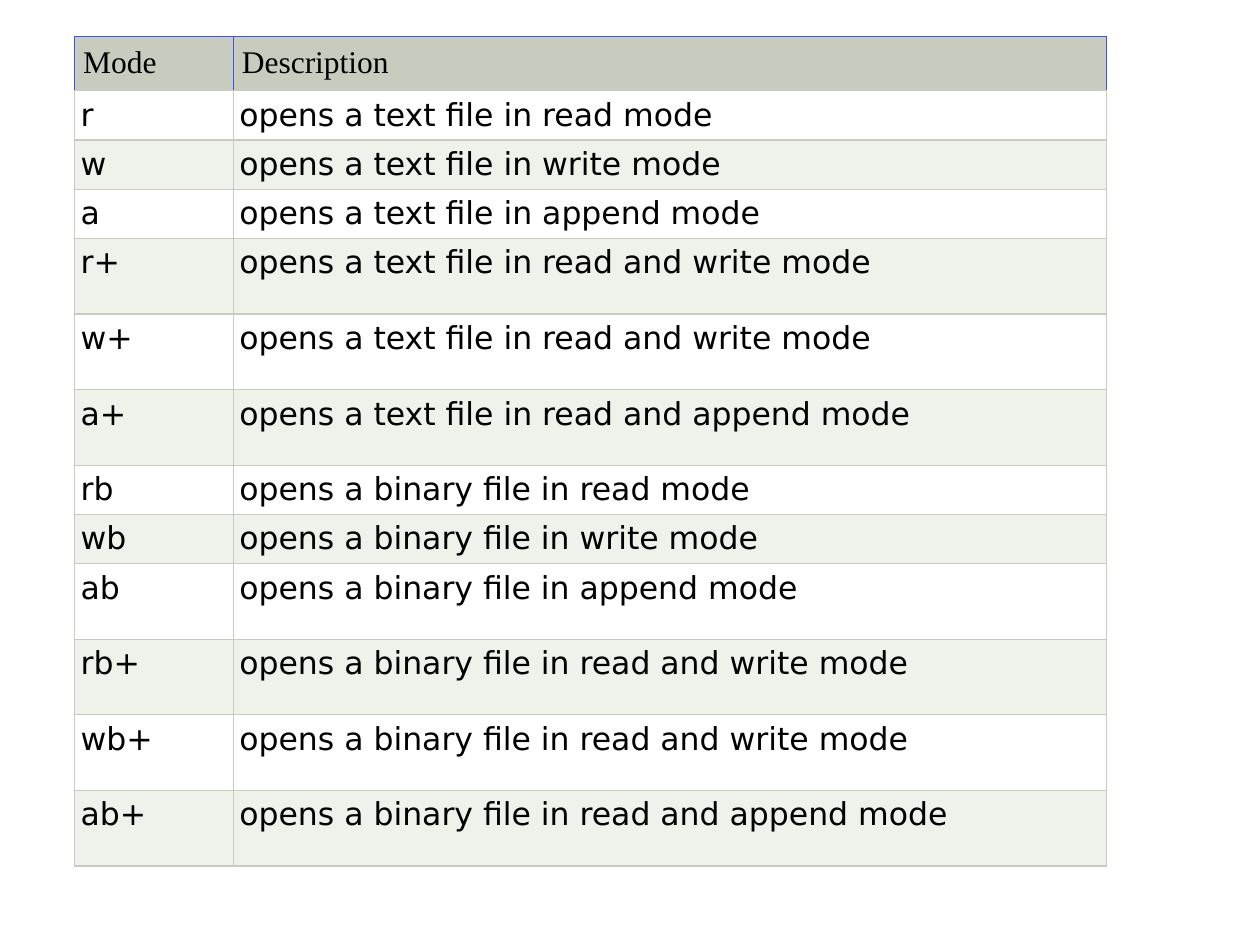
from dataclasses import dataclass

from lxml import etree
from pptx import Presentation
from pptx.dml.color import RGBColor
from pptx.oxml.ns import qn
from pptx.table import _Cell
from pptx.util import Inches, Pt

COLORS = {
    "text": "000000",
    "header": "C7CCBE",
    "grid": "C7CCBE",
    "accent": "404FFC",
    "plain": "FFFFFF",
    "band": "EFF1EB",
}
SHORT, TALL, HEADER_HEIGHT = 0.36, 0.6, 0.43
COLUMN_WIDTHS = (1.26, 6.93)
TABLE_LEFT, TABLE_TOP, TABLE_HEIGHT = 0.59, 0.29, 6.65
SIDES = ("lnL", "lnR", "lnT", "lnB")


@dataclass(frozen=True)
class FileMode:
    mode: str
    description: str
    height: float = SHORT


@dataclass(frozen=True)
class CellStyle:
    font: str
    fill: str
    margin: float
    borders: tuple[str, str, str, str]  # left, right, top, bottom


FILE_MODES = [
    FileMode("r", "opens a text file in read mode"),
    FileMode("w", "opens a text file in write mode"),
    FileMode("a", "opens a text file in append mode"),
    FileMode("r+", "opens a text file in read and write mode", TALL),
    FileMode("w+", "opens a text file in read and write mode", TALL),
    FileMode("a+", "opens a text file in read and append mode", TALL),
    FileMode("rb", "opens a binary file in read mode"),
    FileMode("wb", "opens a binary file in write mode"),
    FileMode("ab", "opens a binary file in append mode", TALL),
    FileMode("rb+", "opens a binary file in read and write mode", TALL),
    FileMode("wb+", "opens a binary file in read and write mode", TALL),
    FileMode("ab+", "opens a binary file in read and append mode", TALL),
]
HEADER = FileMode("Mode", "Description", HEADER_HEIGHT)
HEADER_STYLE = CellStyle("Times New Roman", "header", 0.07,
                         ("accent", "accent", "accent", "grid"))
BODY_STYLES = [CellStyle("DejaVu Sans", fill, 0.05, ("grid",) * 4)
               for fill in ("plain", "band")]


def set_borders(cell: _Cell, borders: tuple[str, str, str, str]) -> None:
    """Add the four cell borders, which must come before the fill."""
    properties = cell._tc.get_or_add_tcPr()
    for index, (side, color) in enumerate(zip(SIDES, borders)):
        line = etree.Element(qn(f"a:{side}"), w=str(Pt(0.75)))
        fill = etree.SubElement(line, qn("a:solidFill"))
        etree.SubElement(fill, qn("a:srgbClr"), val=COLORS[color])
        properties.insert(index, line)


def fill_cell(cell: _Cell, text: str, style: CellStyle) -> None:
    cell.text = text
    cell.margin_left = cell.margin_right = Inches(style.margin)
    cell.margin_top = cell.margin_bottom = Inches(style.margin)
    cell.fill.solid()
    cell.fill.fore_color.rgb = RGBColor.from_string(COLORS[style.fill])
    font = cell.text_frame.paragraphs[0].font
    font.name = style.font
    font.size = Pt(18)
    font.bold = False
    font.color.rgb = RGBColor.from_string(COLORS["text"])
    set_borders(cell, style.borders)


deck = Presentation()
deck.slide_width, deck.slide_height = Inches(10), Inches(7.5)
page = deck.slides.add_slide(deck.slide_layouts[6])

# Table of file modes
entries = [HEADER, *FILE_MODES]
frame = page.shapes.add_table(
    len(entries), len(COLUMN_WIDTHS), Inches(TABLE_LEFT), Inches(TABLE_TOP),
    Inches(sum(COLUMN_WIDTHS)), Inches(TABLE_HEIGHT))
table = frame.table
for column, width in zip(table.columns, COLUMN_WIDTHS):
    column.width = Inches(width)

# Header first, then plain and banded rows in turn
for index, (row, entry) in enumerate(zip(table.rows, entries)):
    row.height = Inches(entry.height)
    style = BODY_STYLES[(index - 1) % 2] if index else HEADER_STYLE
    for cell, text in zip(row.cells, (entry.mode, entry.description)):
        fill_cell(cell, text, style)
frame.height = Inches(TABLE_HEIGHT)

deck.save("out.pptx")
